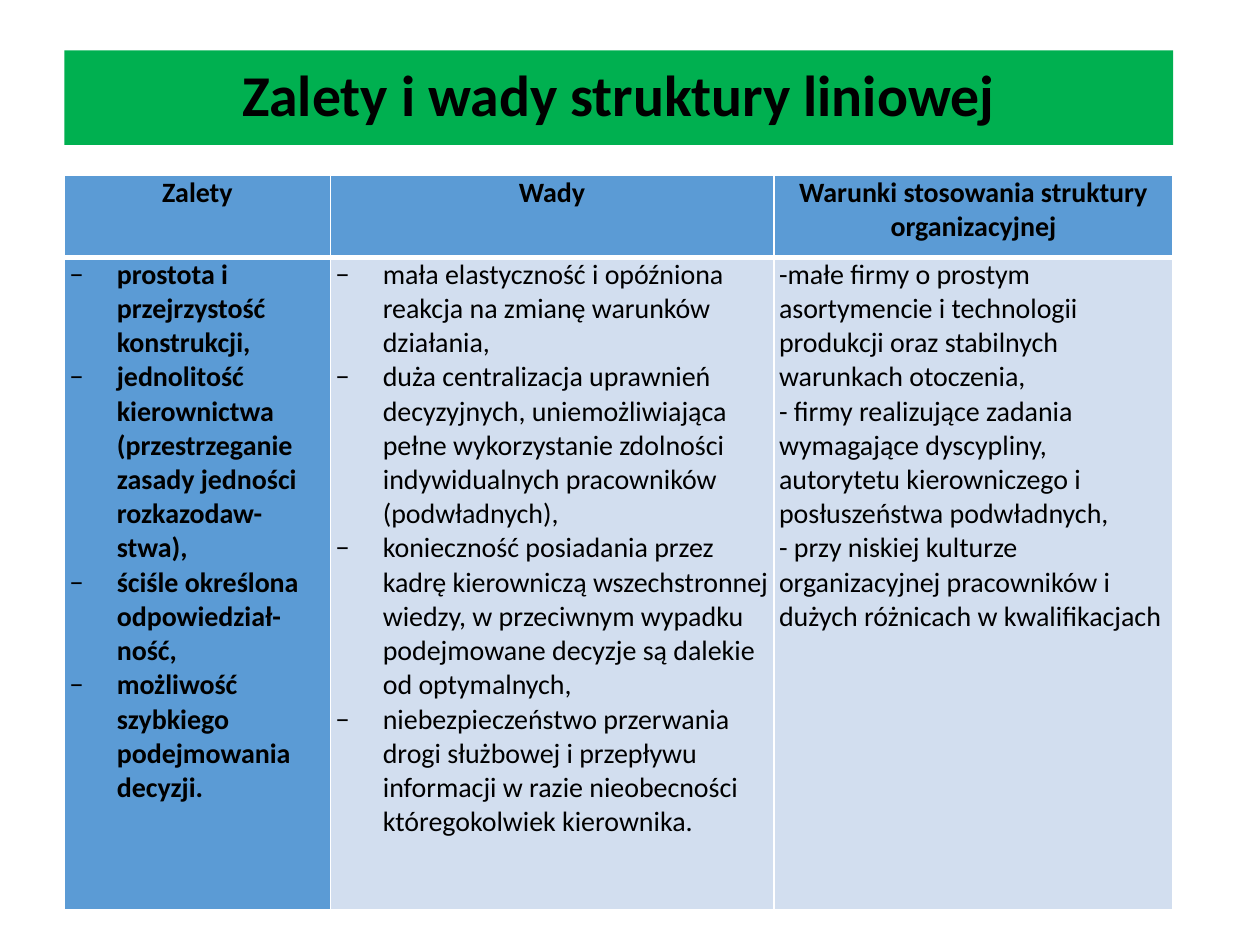
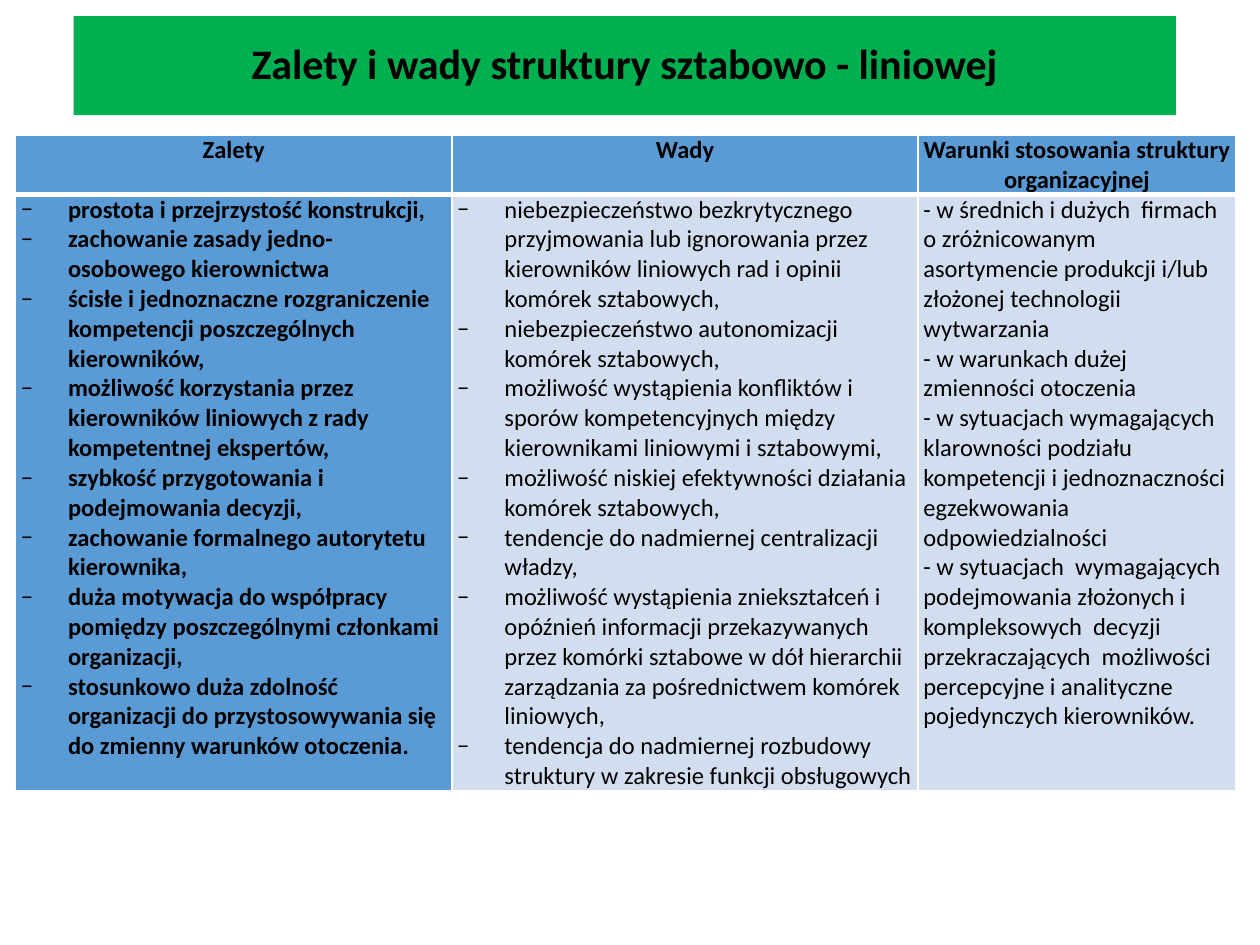
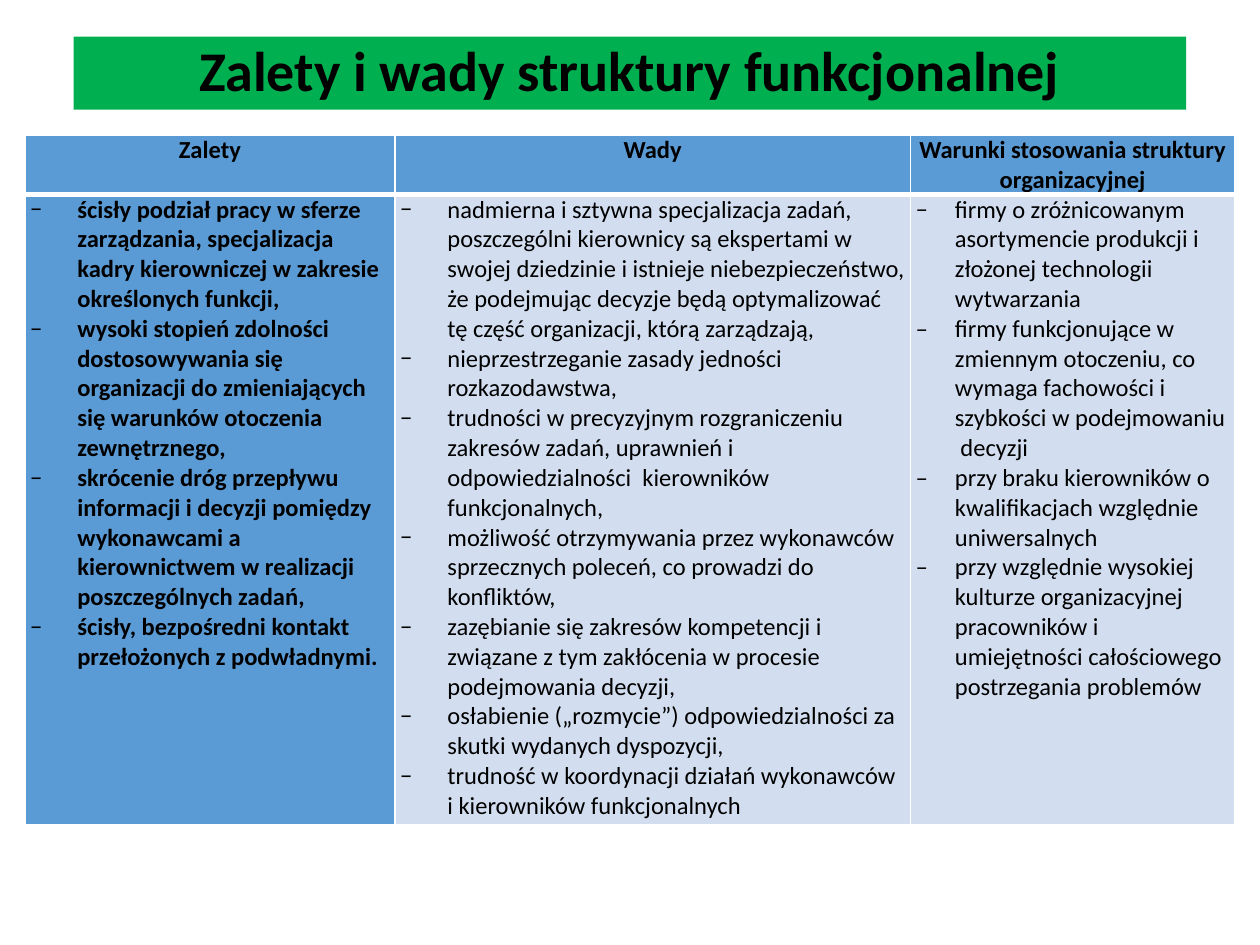
from dataclasses import dataclass

from lxml import etree
from pptx import Presentation
from pptx.dml.color import RGBColor
from pptx.enum.text import MSO_ANCHOR, MSO_AUTO_SIZE, PP_ALIGN
from pptx.oxml.ns import qn
from pptx.util import Pt

CENTER, LEFT = PP_ALIGN.CENTER, PP_ALIGN.LEFT
MIDDLE, TOP = MSO_ANCHOR.MIDDLE, MSO_ANCHOR.TOP
NO_AUTOFIT = MSO_AUTO_SIZE.NONE
TITLE_ONLY = 5


@dataclass(frozen=True)
class Theme:
    font: str = "Calibri"
    ink: str = "000000"
    band: str = "00B050"
    accent: str = "5B9BD5"
    pale: str = "D2DEEF"
    rule: str = "FFFFFF"
    title_sizes: tuple = (33, 24, 32)
    table_sizes: tuple = (16, 14, 14)
    thin: float = 1
    thick: float = 3
    cell_inset: float = 3


THEME = Theme()
HEADERS = ["Zalety", "Wady", "Warunki stosowania struktury organizacyjnej"]
MINUS = ("−", 27)
DASH = ("‒", 22.5)
PLAIN = None

STRUCTURES = [
    {
        "title": "Zalety i wady struktury liniowej",
        "band": (36.8, 28.8, 633.6, 54),
        "corner": (36.8, 100.3),
        "widths": (152, 253.4, 228.2),
        "heights": (46.8, 373),
        "bullets": (MINUS, MINUS, PLAIN),
        "columns": [
            [
                "prostota i przejrzystość konstrukcji,",
                "jednolitość kierownictwa (przestrzeganie zasady jedności rozkazodaw-stwa),",
                "ściśle określona odpowiedział-ność,",
                "możliwość szybkiego podejmowania decyzji.",
            ],
            [
                "mała elastyczność i opóźniona reakcja na zmianę warunków działania,",
                "duża centralizacja uprawnień decyzyjnych, uniemożliwiająca pełne "
                "wykorzystanie zdolności indywidualnych pracowników (podwładnych),",
                "konieczność posiadania przez kadrę kierowniczą wszechstronnej wiedzy, "
                "w przeciwnym wypadku podejmowane decyzje są dalekie od optymalnych,",
                "niebezpieczeństwo przerwania drogi służbowej i przepływu informacji "
                "w razie nieobecności któregokolwiek kierownika.",
            ],
            [
                "-małe firmy o prostym asortymencie i technologii produkcji oraz "
                "stabilnych warunkach otoczenia,",
                "- firmy realizujące zadania wymagające dyscypliny, autorytetu "
                "kierowniczego i posłuszeństwa podwładnych,",
                "- przy niskiej kulturze organizacyjnej pracowników i dużych "
                "różnicach w kwalifikacjach",
            ],
        ],
    },
    {
        "title": "Zalety i wady struktury sztabowo - liniowej",
        "band": (42, 9.2, 630, 56.6),
        "corner": (8.9, 77.2),
        "widths": (249.4, 266.4, 181.5),
        "heights": (31, 340),
        "bullets": (MINUS, MINUS, PLAIN),
        "columns": [
            [
                "prostota i przejrzystość konstrukcji,",
                "zachowanie zasady jedno-osobowego kierownictwa",
                "ścisłe i jednoznaczne rozgraniczenie kompetencji poszczególnych kierowników,",
                "możliwość korzystania przez kierowników liniowych z rady kompetentnej ekspertów,",
                "szybkość przygotowania i podejmowania decyzji,",
                "zachowanie formalnego autorytetu kierownika,",
                "duża motywacja do współpracy pomiędzy poszczególnymi członkami organizacji,",
                "stosunkowo duża zdolność organizacji do przystosowywania się do zmienny "
                "warunków otoczenia.",
            ],
            [
                "niebezpieczeństwo bezkrytycznego przyjmowania lub ignorowania przez "
                "kierowników liniowych rad i opinii komórek sztabowych,",
                "niebezpieczeństwo autonomizacji komórek sztabowych,",
                "możliwość wystąpienia konfliktów i sporów kompetencyjnych między "
                "kierownikami liniowymi i sztabowymi,",
                "możliwość niskiej efektywności działania komórek sztabowych,",
                "tendencje do nadmiernej centralizacji władzy,",
                "możliwość wystąpienia zniekształceń i opóźnień informacji "
                "przekazywanych przez komórki sztabowe w dół hierarchii zarządzania "
                "za pośrednictwem komórek liniowych,",
                "tendencja do nadmiernej rozbudowy struktury w zakresie funkcji obsługowych",
            ],
            [
                "- w średnich i dużych  firmach  o zróżnicowanym  asortymencie "
                "produkcji i/lub złożonej technologii wytwarzania",
                "- w warunkach dużej  zmienności otoczenia",
                "- w sytuacjach wymagających klarowności podziału  kompetencji "
                "i jednoznaczności egzekwowania odpowiedzialności",
                "- w sytuacjach  wymagających  podejmowania złożonych i kompleksowych  "
                "decyzji  przekraczających  możliwości percepcyjne i analityczne "
                "pojedynczych kierowników.",
            ],
        ],
    },
    {
        "title": "Zalety i wady struktury funkcjonalnej",
        "band": (42, 20.9, 635.8, 41.8),
        "corner": (14.2, 77.2),
        "widths": (211.5, 294.5, 185.5),
        "heights": (32.4, 360),
        "bullets": (MINUS, MINUS, DASH),
        "columns": [
            [
                "ścisły podział pracy w sferze zarządzania, specjalizacja kadry "
                "kierowniczej w zakresie określonych funkcji,",
                "wysoki stopień zdolności dostosowywania się organizacji do "
                "zmieniających się warunków otoczenia zewnętrznego,",
                "skrócenie dróg przepływu informacji i decyzji pomiędzy wykonawcami "
                "a kierownictwem w realizacji poszczególnych zadań,",
                "ścisły, bezpośredni kontakt przełożonych z podwładnymi.",
            ],
            [
                "nadmierna i sztywna specjalizacja zadań, poszczególni kierownicy są "
                "ekspertami w swojej dziedzinie i istnieje niebezpieczeństwo, że "
                "podejmując decyzje będą optymalizować tę część organizacji, którą zarządzają,",
                "nieprzestrzeganie zasady jedności rozkazodawstwa,",
                "trudności w precyzyjnym rozgraniczeniu zakresów zadań, uprawnień "
                "i odpowiedzialności  kierowników  funkcjonalnych,",
                "możliwość otrzymywania przez wykonawców sprzecznych poleceń, "
                "co prowadzi do konfliktów,",
                "zazębianie się zakresów kompetencji i związane z tym zakłócenia "
                "w procesie podejmowania decyzji,",
                "osłabienie („rozmycie”) odpowiedzialności za skutki wydanych dyspozycji,",
                "trudność w koordynacji działań wykonawców i kierowników funkcjonalnych",
            ],
            [
                "firmy o zróżnicowanym asortymencie produkcji i złożonej technologii  "
                "wytwarzania",
                "firmy funkcjonujące w zmiennym otoczeniu, co wymaga fachowości "
                "i szybkości w podejmowaniu  decyzji",
                "przy braku kierowników o kwalifikacjach względnie uniwersalnych",
                "przy względnie wysokiej kulturze organizacyjnej pracowników "
                "i umiejętności całościowego postrzegania problemów",
            ],
        ],
    },
]


def write(frame, lines, size, bold=False, align=LEFT, bullet=PLAIN, spacing=1):
    for index, line in enumerate(lines):
        paragraph = frame.add_paragraph() if index else frame.paragraphs[0]
        paragraph.alignment = align
        paragraph.line_spacing = spacing
        if bullet:
            mark, indent = bullet
            properties = paragraph._p.get_or_add_pPr()
            properties.set("marL", str(Pt(indent)))
            properties.set("indent", str(-Pt(indent)))
            etree.SubElement(properties, qn("a:buFont"), typeface=THEME.font)
            etree.SubElement(properties, qn("a:buChar"), char=mark)
        run = paragraph.add_run()
        run.text = line
        run.font.name = THEME.font
        run.font.size = Pt(size)
        run.font.bold = bold
        run.font.color.rgb = RGBColor.from_string(THEME.ink)


def paint(area, color):
    area.fill.solid()
    area.fill.fore_color.rgb = RGBColor.from_string(color)


def rule_cell(cell, **widths):
    properties = cell._tc.get_or_add_tcPr()
    for side in "LRTB":
        width = Pt(widths.get(side, THEME.thin))
        line = etree.SubElement(properties, qn(f"a:ln{side}"), w=str(width))
        solid = etree.SubElement(line, qn("a:solidFill"))
        etree.SubElement(solid, qn("a:srgbClr"), val=THEME.rule)


def fill_cell(cell, lines, color, rules, **text_format):
    rule_cell(cell, **rules)
    paint(cell, color)
    cell.margin_left = cell.margin_right = Pt(THEME.cell_inset)
    cell.margin_top = cell.margin_bottom = 0
    cell.vertical_anchor = TOP
    write(cell.text_frame, lines, **text_format)


def add_title(slide, text, band, size):
    title = slide.shapes.title
    title.left, title.top, title.width, title.height = map(Pt, band)
    paint(title, THEME.band)
    title.text_frame.auto_size = NO_AUTOFIT
    title.text_frame.vertical_anchor = MIDDLE
    write(title.text_frame, [text], size, bold=True, align=CENTER, spacing=0.9)


def add_comparison(slide, structure, size):
    widths, heights = structure["widths"], structure["heights"]
    extent = (*structure["corner"], sum(widths), sum(heights))
    table = slide.shapes.add_table(2, len(HEADERS), *map(Pt, extent)).table
    for row, height in zip(table.rows, heights):
        row.height = Pt(height)
    for index, header in enumerate(HEADERS):
        table.columns[index].width = Pt(widths[index])
        first = index == 0
        fill_cell(table.cell(0, index), [header], THEME.accent, {"B": THEME.thick},
                  size=size, bold=True, align=CENTER)
        fill_cell(table.cell(1, index), structure["columns"][index],
                  THEME.accent if first else THEME.pale, {"T": THEME.thick},
                  size=size, bold=first, bullet=structure["bullets"][index])


def main():
    deck = Presentation()
    deck.slide_width, deck.slide_height = Pt(720), Pt(540)
    for structure, title_size, table_size in zip(
            STRUCTURES, THEME.title_sizes, THEME.table_sizes):
        slide = deck.slides.add_slide(deck.slide_layouts[TITLE_ONLY])
        add_title(slide, structure["title"], structure["band"], title_size)
        add_comparison(slide, structure, table_size)
    deck.save("out.pptx")


if __name__ == "__main__":
    main()
